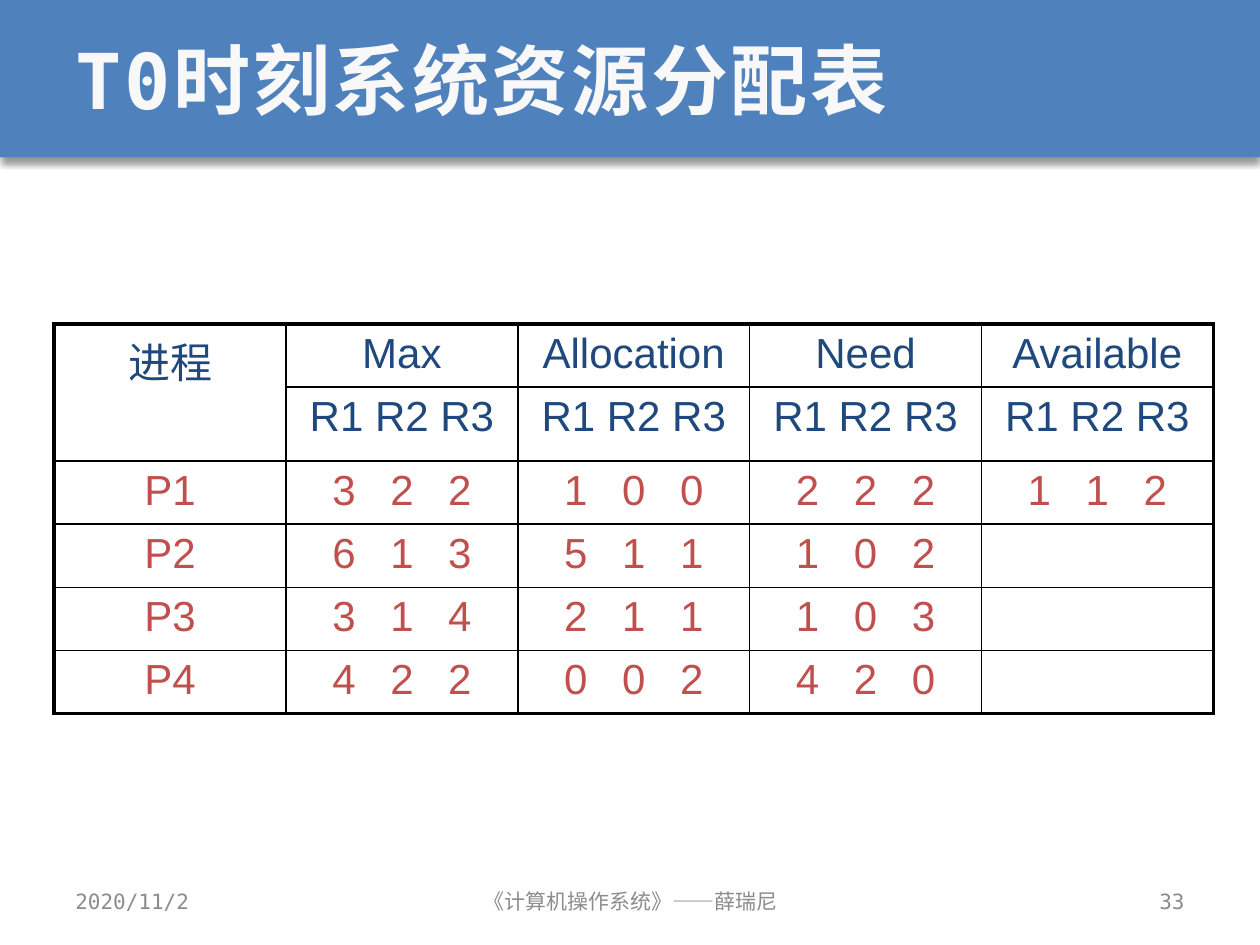
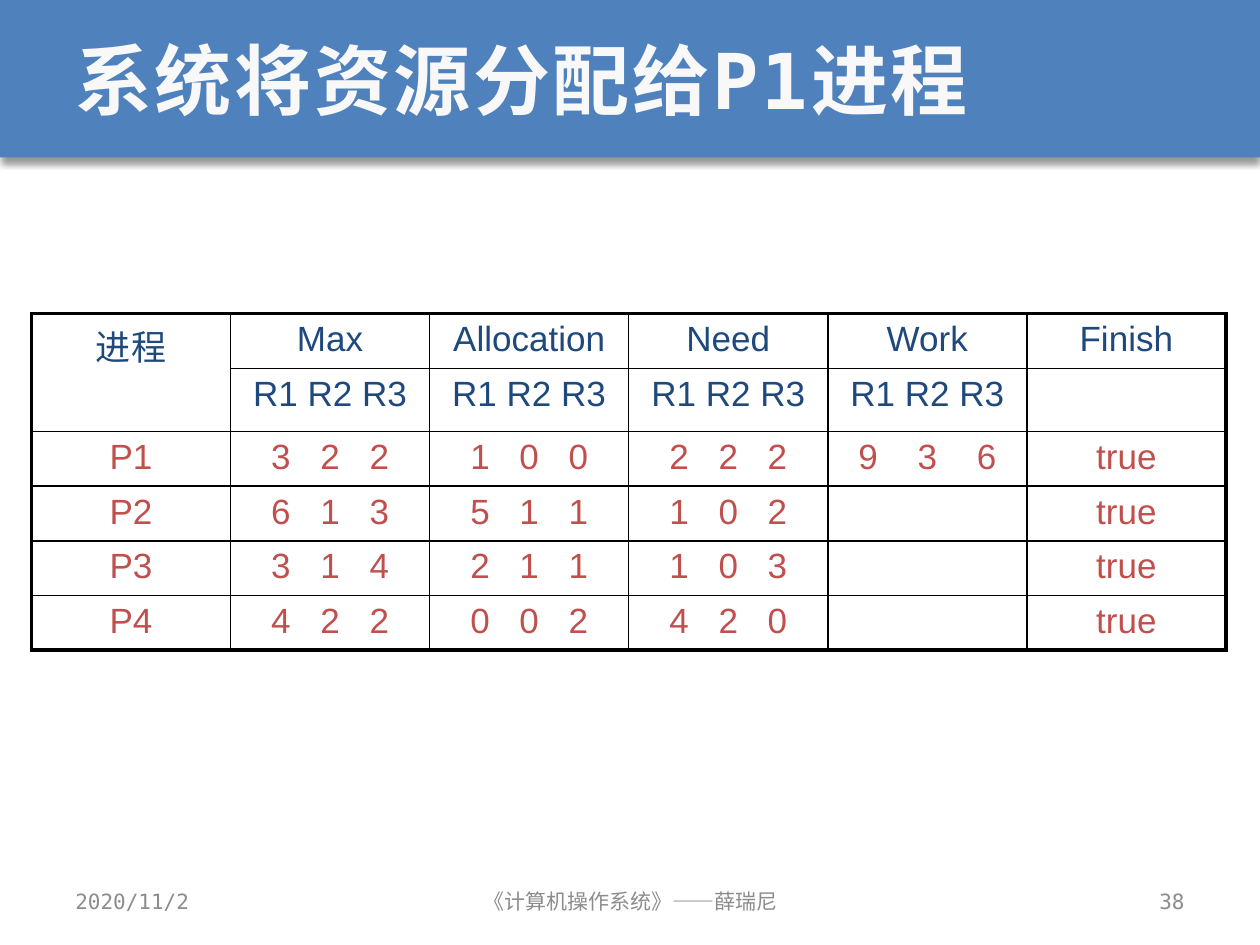
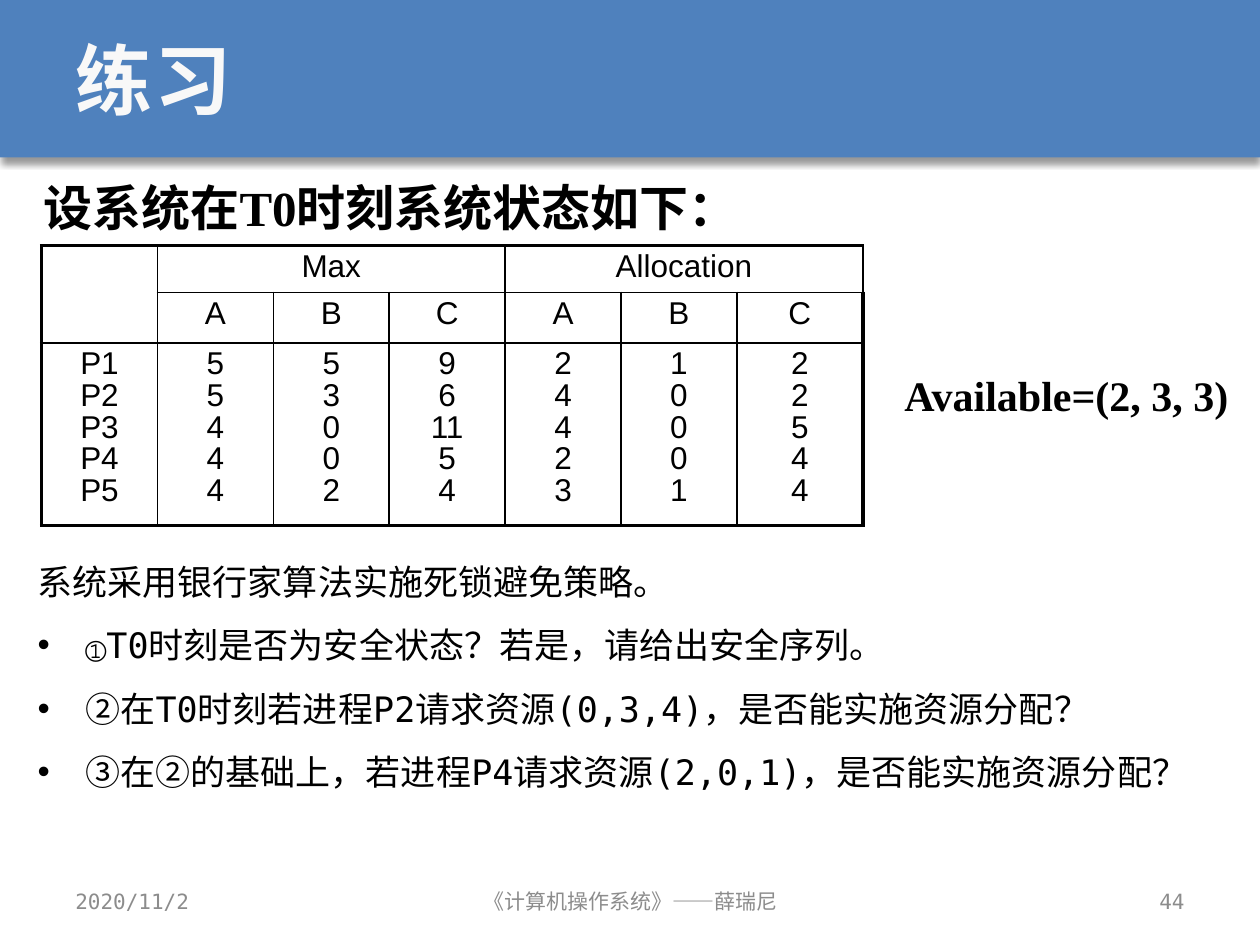
from lxml.etree import SubElement
from pptx import Presentation
from pptx.dml.color import RGBColor
from pptx.enum.shapes import MSO_SHAPE
from pptx.enum.text import MSO_ANCHOR, PP_ALIGN
from pptx.oxml import parse_xml
from pptx.oxml.ns import nsdecls, qn
from pptx.util import Inches, Pt

# Shared style
BLUE, PALE, GREY, BLACK = "4F81BD", "F8F8F8", "8C8C8C", "000000"
NAVY, RED = "1F497D", "C0504D"
MONO, SANS, SERIF = "DejaVu Sans Mono", "Arial", "Times New Roman"
LEFT, CENTER, RIGHT = PP_ALIGN.LEFT, PP_ALIGN.CENTER, PP_ALIGN.RIGHT
THIN, THICK = 1, 2.25


def write(frame, lines, font, size, color, align=LEFT, bold=False, spacing=None):
    for index, line in enumerate(lines):
        paragraph = frame.paragraphs[0] if index == 0 else frame.add_paragraph()
        paragraph.alignment = align
        paragraph.line_spacing = spacing
        run = paragraph.add_run()
        run.text = line
        run.font.name, run.font.size, run.font.bold = font, Pt(size), bold
        run.font.color.rgb = RGBColor.from_string(color)


def add_grid(slide, left, top, widths, heights):
    table = slide.shapes.add_table(
        len(heights), len(widths), Inches(left), Inches(top),
        Inches(sum(widths)), Inches(sum(heights))).table
    table.first_row = table.horz_banding = False
    for column, width in zip(table.columns, widths):
        column.width = Inches(width)
    for row, height in zip(table.rows, heights):
        row.height = Inches(height)
    # Thick frame, thin inner lines
    last_row, last_column = len(heights) - 1, len(widths) - 1
    for r in range(len(heights)):
        for c in range(len(widths)):
            cell = table.cell(r, c)
            cell.fill.background()
            outer = {"lnL": c == 0, "lnR": c == last_column,
                     "lnT": r == 0, "lnB": r == last_row}
            for position, (side, is_outer) in enumerate(outer.items()):
                width = Pt(THICK if is_outer else THIN)
                cell._tc.get_or_add_tcPr().insert(position, parse_xml(
                    f'<a:{side} {nsdecls("a")} w="{width}"><a:solidFill>'
                    f'<a:srgbClr val="{BLACK}"/></a:solidFill></a:{side}>'))
    return table


presentation = Presentation()
presentation.slide_width, presentation.slide_height = Inches(10), Inches(7.5)

# Band, title and footer of every slide
slides = []
for title, number in [("T0时刻系统资源分配表", "33"),
                      ("系统将资源分配给P1进程", "38"),
                      ("练习", "44")]:
    slide = presentation.slides.add_slide(presentation.slide_layouts[6])
    slides.append(slide)
    band = slide.shapes.add_shape(MSO_SHAPE.RECTANGLE, 0, 0, Inches(10), Inches(1.25))
    band.fill.solid()
    band.fill.fore_color.rgb = RGBColor.from_string(BLUE)
    band.line.fill.background()
    band.shadow.inherit = False
    band._element.spPr.find(qn("a:effectLst")).append(parse_xml(
        f'<a:outerShdw {nsdecls("a")} blurRad="{Pt(4)}" dist="{Pt(3)}" dir="5400000" '
        f'rotWithShape="0"><a:srgbClr val="{BLACK}"><a:alpha val="40000"/>'
        '</a:srgbClr></a:outerShdw>'))

    title_box = slide.shapes.add_textbox(Inches(0.5), 0, Inches(9), Inches(1.25))
    title_box.text_frame.word_wrap = True
    title_box.text_frame.vertical_anchor = MSO_ANCHOR.MIDDLE
    write(title_box.text_frame, [title], MONO, 44, PALE, bold=True)
    title_box.text_frame.paragraphs[0].runs[0].font._element.set("spc", "150")

    for text, left, width, align in [("2020/11/2", 0.5, 2.33, LEFT),
                                     ("《计算机操作系统》——薛瑞尼", 3.42, 3.17, CENTER),
                                     (number, 7.17, 2.33, RIGHT)]:
        footer = slide.shapes.add_textbox(Inches(left), Inches(6.95), Inches(width), Inches(0.4))
        footer.text_frame.word_wrap = True
        footer.text_frame.vertical_anchor = MSO_ANCHOR.MIDDLE
        write(footer.text_frame, [text], MONO, 12, GREY, align)

# Resource tables of slides 1 and 2: shared columns, then those of each slide
shared_columns = [
    ("进程", "", ["P1", "P2", "P3", "P4"]),
    ("Max", "R1 R2 R3", ["3 2 2", "6 1 3", "3 1 4", "4 2 2"]),
    ("Allocation", "R1 R2 R3", ["1 0 0", "5 1 1", "2 1 1", "0 0 2"]),
    ("Need", "R1 R2 R3", ["2 2 2", "1 0 2", "1 0 3", "4 2 0"]),
]
available = [("Available", "R1 R2 R3", ["1 1 2"])]
work_finish = [("Work", "R1 R2 R3", ["9 3 6"]), ("Finish", "", ["true"] * 4)]

for slide, left, top, width, heights, size, digit_step, extra_columns in [
        (slides[0], 0.43, 2.57, 1.84, [0.47, 0.59] + [0.47] * 4, 24, 0.46, available),
        (slides[1], 0.25, 2.49, 1.58, [0.41, 0.5] + [0.41] * 4, 20, 0.39, work_finish)]:
    columns = shared_columns + extra_columns
    table = add_grid(slide, left, top, [width] * len(columns), heights)
    table.cell(0, 0).merge(table.cell(1, 0))
    for c, (name, resources, values) in enumerate(columns):
        step = 0.47 if name == "Work" else digit_step
        for r, text in enumerate([name, resources] + values):
            if not text:
                continue
            frame = table.cell(r, c).text_frame
            color = NAVY if r < 2 else RED
            if r < 2 or " " not in text:
                write(frame, [text], SANS, size, color, CENTER)
                continue
            # Three digits on centred tab stops around the middle of the cell
            tabs = SubElement(frame.paragraphs[0]._p.get_or_add_pPr(), qn("a:tabLst"))
            for offset in (-step, 0, step):
                position = Inches(width / 2 - 0.1 + offset)
                SubElement(tabs, qn("a:tab"), pos=str(position), algn="ctr")
            write(frame, ["\t" + text.replace(" ", "\t")], SANS, size, color)

# Slide 3: heading and available resources
slide = slides[2]
for text, left, top, width, height, size in [
        ("设系统在T0时刻系统状态如下：", 0.25, 1.36, 9.25, 0.57, 28),
        ("Available=(2, 3, 3)", 7.08, 2.88, 2.92, 0.5, 24)]:
    label = slide.shapes.add_textbox(Inches(left), Inches(top), Inches(width), Inches(height))
    label.text_frame.word_wrap = True
    write(label.text_frame, [text], SERIF, size, BLACK, bold=True)

# Slide 3: state table
table = add_grid(slide, 0.33, 1.95, [0.92] * 6 + [1], [0.37, 0.4, 1.45])
table.cell(0, 0).merge(table.cell(1, 0))
for name, first in [("Max", 1), ("Allocation", 4)]:
    table.cell(0, first).merge(table.cell(0, first + 2))
    write(table.cell(0, first).text_frame, [name], SANS, 18, BLACK, CENTER, spacing=0.9)
    for offset, resource in enumerate("ABC"):
        write(table.cell(1, first + offset).text_frame, [resource],
              SANS, 18, BLACK, CENTER, spacing=0.9)
states = ["P1 P2 P3 P4 P5", "5 5 4 4 4", "5 3 0 0 2", "9 6 11 5 4",
          "2 4 4 2 3", "1 0 0 0 1", "2 2 5 4 4"]
for c, state in enumerate(states):
    write(table.cell(2, c).text_frame, state.split(), SANS, 18, BLACK, CENTER, spacing=0.9)

# Slide 3: questions
questions = slide.shapes.add_textbox(Inches(0.2), Inches(4.3), Inches(9.75), Inches(2.2))
questions.text_frame.word_wrap = True
write(questions.text_frame, [
    "系统采用银行家算法实施死锁避免策略。",
    "①T0时刻是否为安全状态？若是，请给出安全序列。",
    "②在T0时刻若进程P2请求资源(0,3,4)，是否能实施资源分配？",
    "③在②的基础上，若进程P4请求资源(2,0,1)，是否能实施资源分配？",
], MONO, 20, BLACK, PP_ALIGN.JUSTIFY, spacing=1.3)
for index, paragraph in enumerate(questions.text_frame.paragraphs):
    properties = paragraph._p.get_or_add_pPr()
    properties.set("marL", str(Inches(0.38)))
    properties.set("indent", str(-Inches(0.38)))
    if index > 0:
        paragraph.space_before = Pt(5)
        SubElement(properties, qn("a:buFont"), typeface=SANS)
        SubElement(properties, qn("a:buChar"), char="•")

presentation.save("out.pptx")
